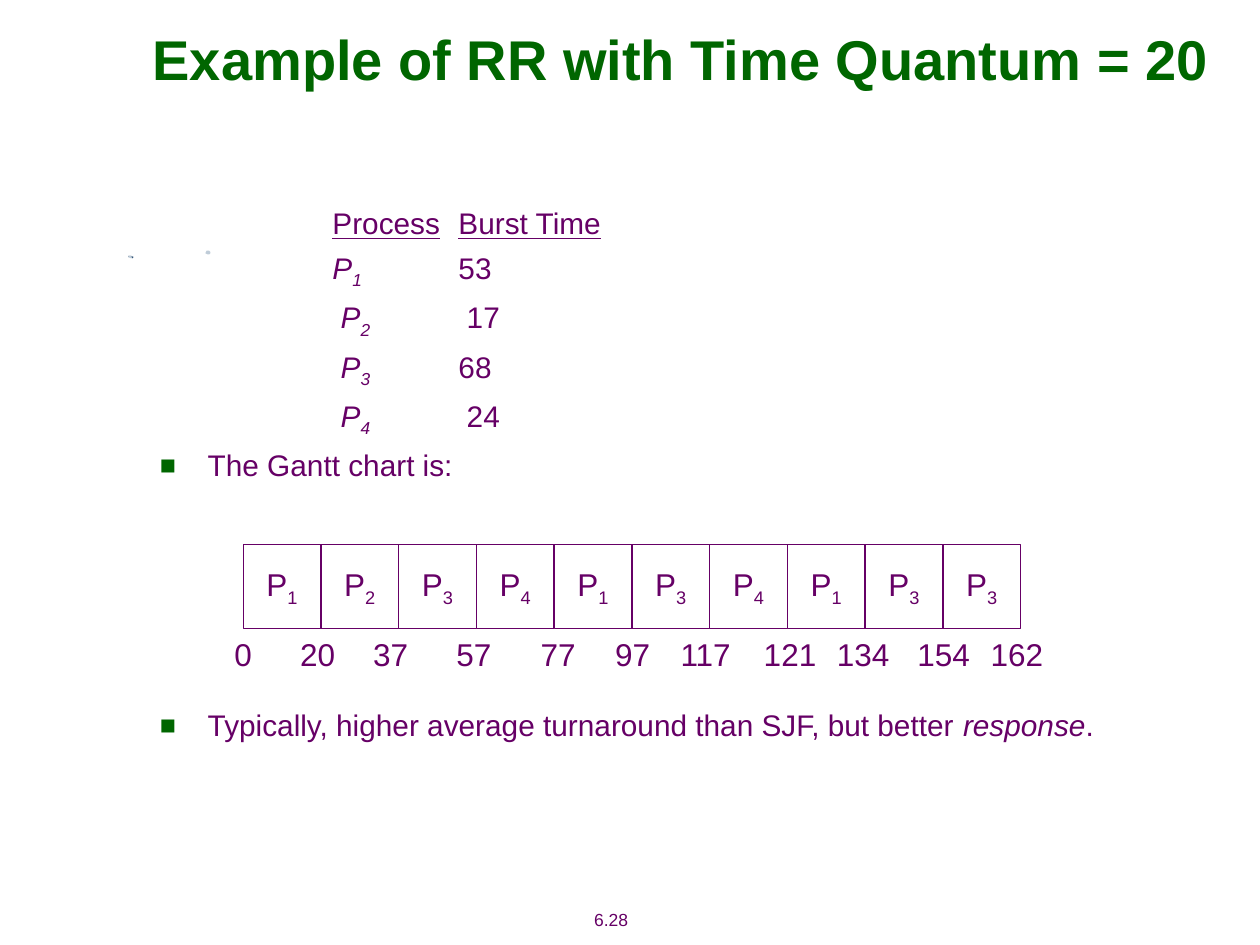
from pptx import Presentation, util as u
from pptx.dml.color import RGBColor
from pptx.enum import shapes, text
from pptx.oxml.xmlchemy import OxmlElement

THEME = {
    "font": "Arial",
    "title": {"size": 32, "color": "006600", "bold": True},
    "body": {"size": 17, "color": "660066"},
    "gantt": {"size": 18, "color": "660066"},
    "page": {"size": 10, "color": "660066"},
    "paper": "FFFFFF", "ink": "660066", "bullet": "006600",
    "dark": "284C70", "pale": "BFCCD8",
}

# Content: a span is (text, styles), with u = underline, i = italic, s = subscript
TITLE = "Example of RR with Time Quantum = 20"
PAGE_NUMBER = "6.28"
HEADER = [("\t", ""), ("Process", "u"), ("\t", ""), ("Burst Time", "u")]
PROCESSES = [("\t", "1", "\t", "53"), ("\t ", "2", "\t ", "17"),
             ("\t ", "3", "\t", "68"), ("\t ", "4", "\t ", "24")]
GANTT_NOTE = [("The Gantt chart is:", "")]
CONCLUSION = [("Typically, higher average turnaround than SJF, but better ", ""),
              ("response", "i"), (".", "")]
SLOTS = "1234134133"
TICKS = [("0", 1.93), ("20", 2.52), ("37", 3.1), ("57", 3.76), ("77", 4.43),
         ("97", 5.02), ("117", 5.6), ("121", 6.27), ("134", 6.85),
         ("154", 7.49), ("162", 8.07)]  # label, centre
SPECKS = [
    ("dark", [(1.02, 2.03), (1.04, 2.03), (1.06, 2.04), (1.05, 2.05), (1.03, 2.04), (1.02, 2.04)]),
    ("pale", [(1.02, 2.03), (1.04, 2.03), (1.05, 2.04), (1.04, 2.05), (1.02, 2.04)]),
    ("pale", [(1.63, 2.01), (1.64, 1.99), (1.66, 1.99), (1.67, 2.0), (1.67, 2.01),
              (1.66, 2.02), (1.65, 2.02)]),
]

# Layout in inches
COLUMNS = (1.37, 2.37)
HANG = 0.38
GANTT_LEFT, GANTT_TOP, SLOT_PITCH, SLOT_HEIGHT = 1.93, 4.32, 0.617, 0.67
TICK_TOP, TICK_HEIGHT = 4.99, 0.4
PARA_GAP, CHART_GAP = 5, 128  # points


def color(name):
    return RGBColor.from_string(THEME.get(name, name))


def set_all(target, values):
    for name, value in values.items():
        setattr(target, name, value)


def add_spans(para, spans, look):
    for words, styles in spans:
        span = para.add_run()
        span.text = words
        set_all(span.font, {"name": THEME["font"], "size": u.Pt(look["size"]),
                            "bold": look.get("bold", False),
                            "italic": "i" in styles, "underline": "u" in styles})
        span.font.color.rgb = color(look["color"])
        if "s" in styles:
            span.font._element.set("baseline", "-25000")


def add_box(page, left, top, width, height):
    return page.shapes.add_textbox(*map(u.Inches, (left, top, width, height)))


def fill_centred(shape, spans, look, wrap=False):
    set_all(shape.text_frame, {"word_wrap": wrap,
                               "vertical_anchor": text.MSO_ANCHOR.MIDDLE})
    para = shape.text_frame.paragraphs[0]
    para.alignment = text.PP_ALIGN.CENTER
    add_spans(para, spans, look)


def add_child(parent, tag, **values):
    child = OxmlElement(tag)
    for name, value in values.items():
        child.set(name, str(value))
    parent.append(child)
    return child


def set_columns(para):
    stops = add_child(para._p.get_or_add_pPr(), "a:tabLst")
    for place in COLUMNS:
        add_child(stops, "a:tab", pos=u.Inches(place), algn="l")


def set_bullet(para):
    props = para._p.get_or_add_pPr()
    props.set("marL", str(u.Inches(HANG)))
    props.set("indent", str(-u.Inches(HANG)))
    add_child(add_child(props, "a:buClr"), "a:srgbClr", val=THEME["bullet"])
    add_child(props, "a:buSzPct", val=90000)
    add_child(props, "a:buFont", typeface=THEME["font"])
    add_child(props, "a:buChar", char="■")


def add_body(page):
    frame = add_box(page, 1.17, 1.58, 7.69, 4.5).text_frame
    frame.word_wrap = True
    rows = [HEADER] + [[(lead, ""), ("P", "i"), (number, "is"), (gap + burst, "")]
                       for lead, number, gap, burst in PROCESSES]
    lines = [(row, set_columns, PARA_GAP) for row in rows]
    lines += [(GANTT_NOTE, set_bullet, PARA_GAP), (CONCLUSION, set_bullet, CHART_GAP)]
    for index, (spans, arrange, gap) in enumerate(lines):
        para = frame.add_paragraph() if index else frame.paragraphs[0]
        para.space_before = u.Pt(gap)
        arrange(para)
        add_spans(para, spans, THEME["body"])


def add_gantt(page):
    # Time slots
    for index, number in enumerate(SLOTS):
        place = (GANTT_LEFT + index * SLOT_PITCH, GANTT_TOP, SLOT_PITCH, SLOT_HEIGHT)
        slot = page.shapes.add_shape(shapes.MSO_SHAPE.RECTANGLE, *map(u.Inches, place))
        slot.shadow.inherit = False
        slot.fill.solid()
        slot.fill.fore_color.rgb = color("paper")
        slot.line.color.rgb = color("ink")
        slot.line.width = u.Pt(0.75)
        fill_centred(slot, [("P", ""), (number, "s")], THEME["gantt"])
    # Time labels
    for label, centre in TICKS:
        width = 0.2 + 0.14 * len(label)
        tick = add_box(page, centre - width / 2, TICK_TOP, width, TICK_HEIGHT)
        fill_centred(tick, [(label, "")], THEME["gantt"])


def add_specks(page):
    for tone, points in SPECKS:
        corners = [(u.Inches(x), u.Inches(y)) for x, y in points]
        outline = page.shapes.build_freeform(*corners[0])
        outline.add_line_segments(corners[1:], close=True)
        speck = outline.convert_to_shape()
        speck.shadow.inherit = False
        speck.fill.solid()
        speck.fill.fore_color.rgb = color(tone)
        speck.line.fill.background()


def main():
    deck = Presentation()
    set_all(deck, {"slide_width": u.Inches(10), "slide_height": u.Inches(7.5)})
    page = deck.slides.add_slide(deck.slide_layouts[6])
    fill_centred(add_box(page, 4.38, 7.16, 0.94, 0.27), [(PAGE_NUMBER, "")], THEME["page"])
    add_specks(page)
    fill_centred(add_box(page, 1, 0, 8.81, 0.92), [(TITLE, "")], THEME["title"], wrap=True)
    add_body(page)
    add_gantt(page)
    deck.save("out.pptx")


if __name__ == "__main__":
    main()
